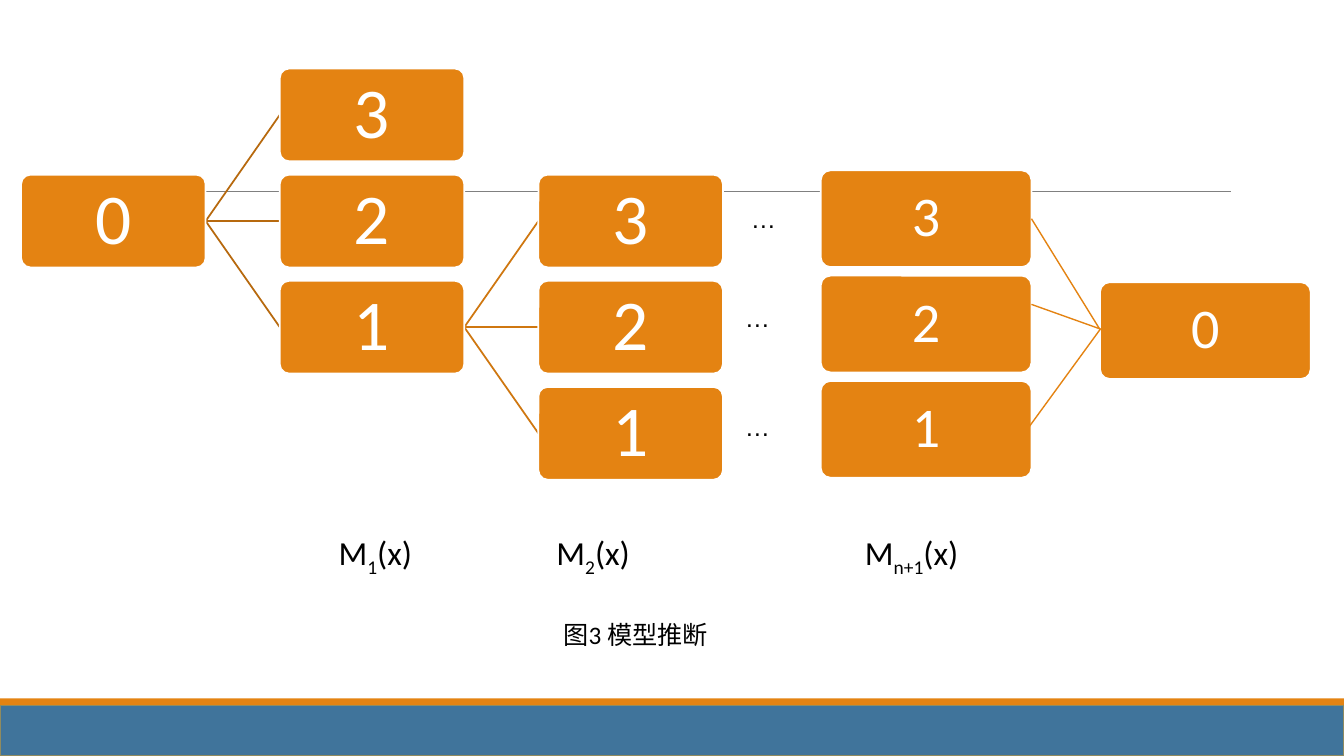
from dataclasses import dataclass

from lxml.etree import SubElement
from pptx import Presentation
from pptx.dml.color import RGBColor
from pptx.enum.shapes import MSO_CONNECTOR, MSO_SHAPE
from pptx.enum.text import MSO_ANCHOR, PP_ALIGN
from pptx.oxml.ns import qn
from pptx.util import Inches, Pt


@dataclass(frozen=True)
class Theme:
    orange: str = "E48312"
    first_link: str = "B7690E"
    second_link: str = "CF7710"
    blue: str = "40749B"
    footer_edge: str = "908B5F"
    gray: str = "808080"
    white: str = "FFFFFF"
    black: str = "000000"
    font: str = "Calibri"
    dots_font: str = "Arial"
    tree_size: float = 51
    state_size: float = 40
    model_size: float = 24
    caption_size: float = 18


class StateDiagram:
    def __init__(self, slide, theme):
        self.slide = slide
        self.theme = theme

    def format_run(self, run, size, color, font=None):
        run.font.size = Pt(size)
        run.font.name = font or self.theme.font
        run.font.color.rgb = RGBColor.from_string(color)

    def block(self, kind, left, top, width, height, fill, edge=None):
        shape = self.slide.shapes.add_shape(
            kind, Inches(left), Inches(top), Inches(width), Inches(height))
        shape.shadow.inherit = False
        shape.fill.solid()
        shape.fill.fore_color.rgb = RGBColor.from_string(fill)
        if edge:
            shape.line.color.rgb = RGBColor.from_string(edge)
            shape.line.width = Pt(1.25)
        else:
            shape.line.fill.background()
        return shape

    def state(self, label, left, top, width, height, size):
        shape = self.block(MSO_SHAPE.ROUNDED_RECTANGLE, left, top, width, height,
                           self.theme.orange, self.theme.white)
        shape.adjustments[0] = 0.1
        text_frame = shape.text_frame
        text_frame.margin_left = text_frame.margin_right = Inches(0.06)
        text_frame.margin_top = text_frame.margin_bottom = Inches(0.06)
        text_frame.vertical_anchor = MSO_ANCHOR.MIDDLE
        text_frame.text = label
        paragraph = text_frame.paragraphs[0]
        paragraph.alignment = PP_ALIGN.CENTER
        paragraph.line_spacing = 0.9
        self.format_run(paragraph.runs[0], size, self.theme.white)

    def link(self, start, end, color, width):
        connector = self.slide.shapes.add_connector(
            MSO_CONNECTOR.STRAIGHT, Inches(start[0]), Inches(start[1]),
            Inches(end[0]), Inches(end[1]))
        connector.line.color.rgb = RGBColor.from_string(color)
        connector.line.width = Pt(width)
        SubElement(connector._element.spPr, qn("a:effectLst"))

    def label(self, parts, left, top, width, height, size, font=None):
        box = self.slide.shapes.add_textbox(
            Inches(left), Inches(top), Inches(width), Inches(height))
        box.text_frame.word_wrap = True
        paragraph = box.text_frame.paragraphs[0]
        for index, part in enumerate(parts):
            run = paragraph.add_run()
            run.text = part
            self.format_run(run, size, self.theme.black, font)
            if index == 1:
                run.font._element.set("baseline", "-25000")


def main():
    presentation = Presentation()
    presentation.slide_width = Inches(13.33)
    presentation.slide_height = Inches(7.5)
    theme = Theme()
    slide = presentation.slides.add_slide(presentation.slide_layouts[6])
    diagram = StateDiagram(slide, theme)

    diagram.block(MSO_SHAPE.RECTANGLE, 0, 6.93, 13.33, 0.07, theme.orange)
    diagram.link((1.31, 1.9), (12.21, 1.9), theme.gray, 0.5)
    diagram.block(MSO_SHAPE.RECTANGLE, 0, 7, 13.33, 0.5, theme.blue, theme.footer_edge)

    tree_width, tree_height, column_step, row_step = 1.83, 0.92, 2.565, 1.053
    tree_left, tree_top = 0.21, 0.68
    columns = [("0", 1), ("321", 0), ("321", 1)]
    branches = [(1, theme.first_link), (2, theme.second_link)]

    for column, (parent_row, color) in enumerate(branches):
        right = tree_left + column * column_step + tree_width
        next_left = tree_left + (column + 1) * column_step
        parent_middle = tree_top + parent_row * row_step + tree_height / 2
        for offset in (-1, 0, 1):
            diagram.link((right, parent_middle),
                         (next_left, parent_middle + offset * row_step), color, 1.25)

    for column, (labels, first_row) in enumerate(columns):
        for row, text in enumerate(labels, first_row):
            diagram.state(text, tree_left + column * column_step,
                          tree_top + row * row_step,
                          tree_width, tree_height, theme.tree_size)

    state_width, state_height = 2.09, 0.96
    diagram.state("0", 10.91, 2.8, state_width, state_height, theme.state_size)
    for row, text in enumerate("321"):
        diagram.state(text, 8.14, 1.69 + row * 1.045,
                      state_width, state_height, theme.state_size)
    for start, end_x in [((10.23, 2.17), 10.91), ((10.23, 3.02), 10.93),
                         ((10.21, 4.23), 10.91)]:
        diagram.link(start, (end_x, 3.27), theme.orange, 1)

    for left, top in [(7.35, 1.97), (7.29, 2.95), (7.29, 4.03)]:
        diagram.label(["…"], left, top, 0.72, 0.4, theme.caption_size, theme.dots_font)
    diagram.label(["图3 模型推断"], 5.49, 6.09, 1.85, 0.4, theme.caption_size)
    for subscript, left in [("1", 3.26), ("2", 5.42), ("n+1", 8.48)]:
        diagram.label(["M", subscript, "(x)"], left, 5.23, 1.58, 0.5, theme.model_size)

    presentation.save("out.pptx")


if __name__ == "__main__":
    main()
